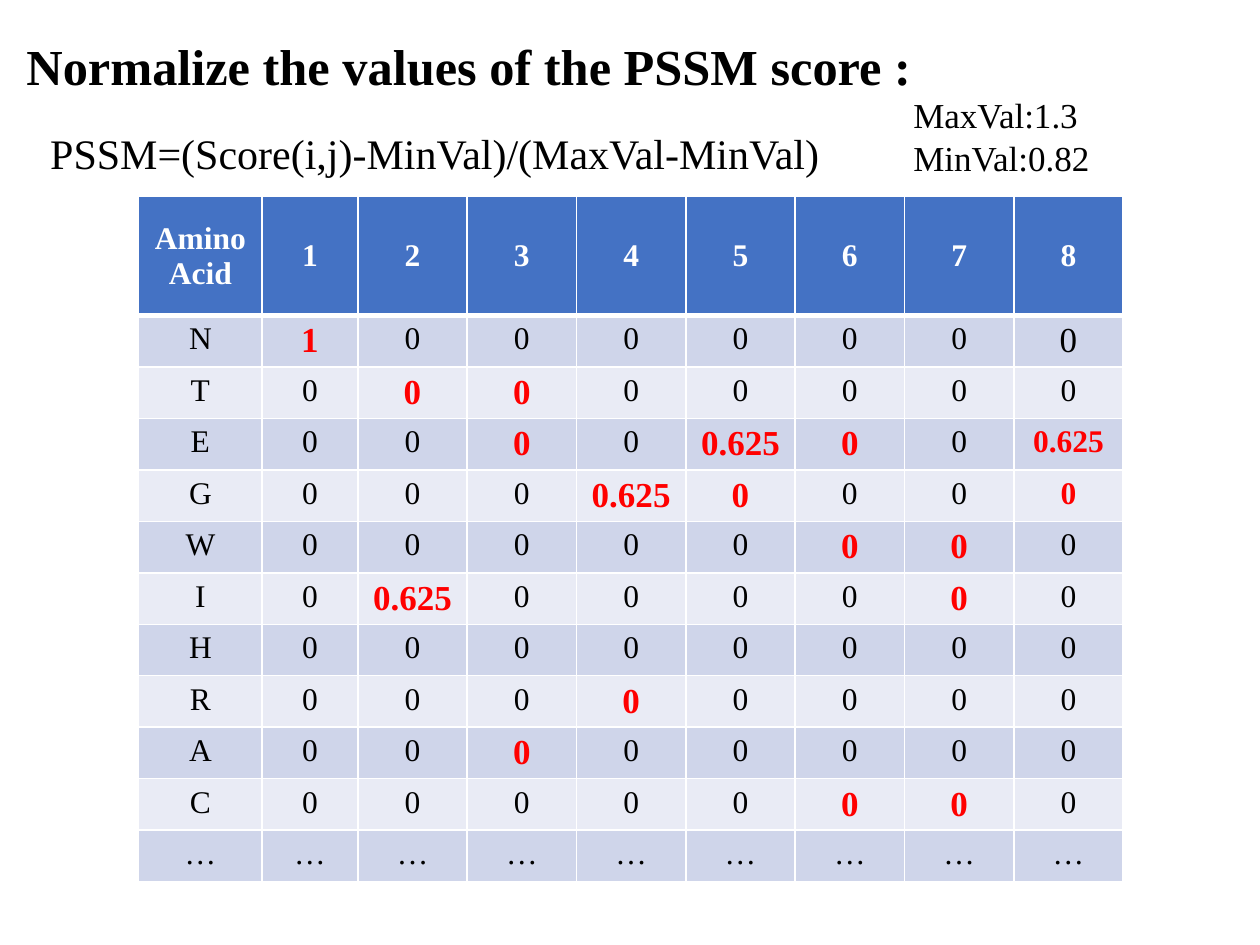
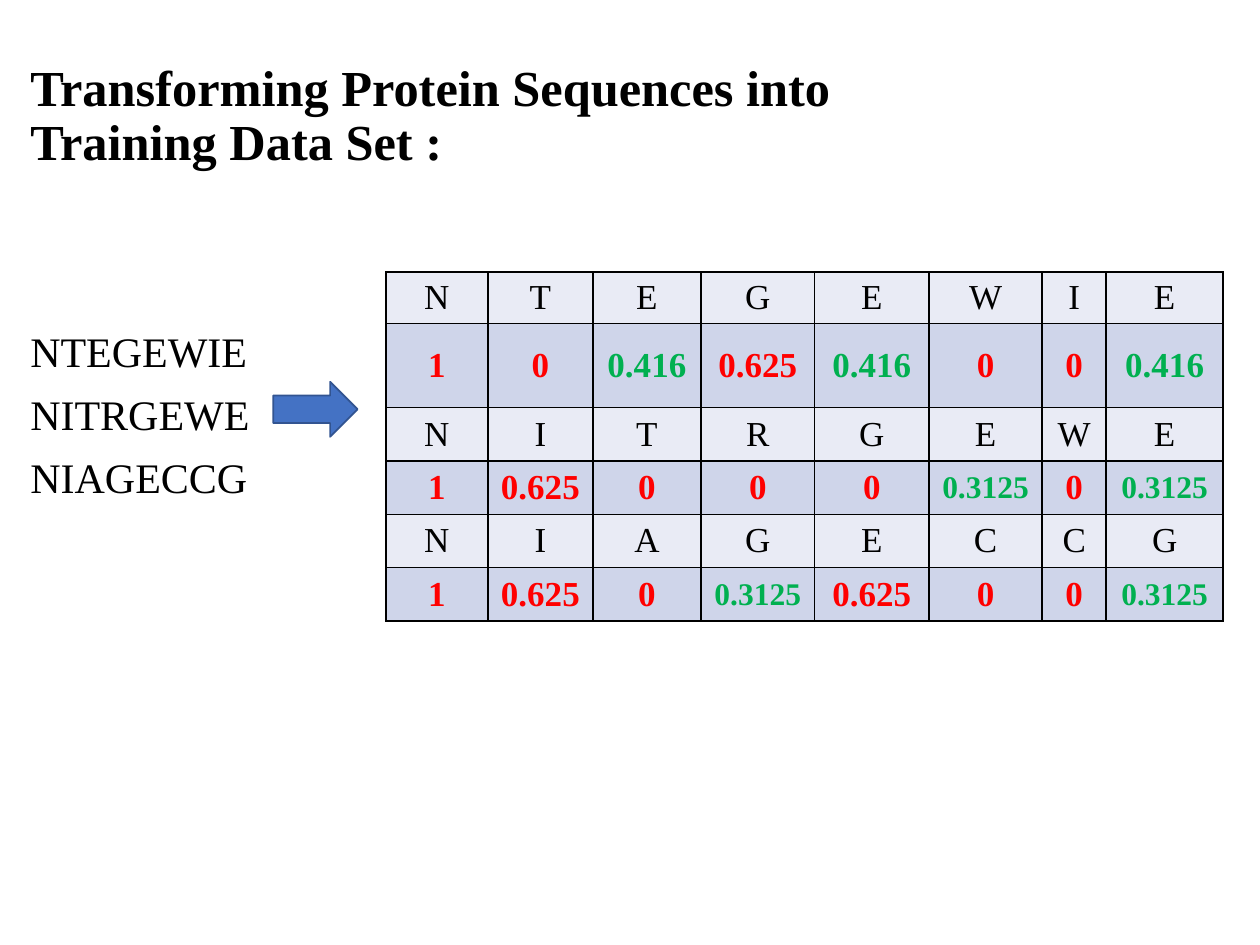
from lxml import etree
from pptx import Presentation
from pptx.dml.color import RGBColor
from pptx.enum.shapes import MSO_SHAPE
from pptx.enum.text import MSO_ANCHOR, MSO_AUTO_SIZE, PP_ALIGN
from pptx.oxml.ns import qn
from pptx.util import Pt

LEFT, CENTER = PP_ALIGN.LEFT, PP_ALIGN.CENTER
TOP, MIDDLE = MSO_ANCHOR.TOP, MSO_ANCHOR.MIDDLE
NO_AUTOFIT = MSO_AUTO_SIZE.NONE
RIGHT_ARROW = MSO_SHAPE.RIGHT_ARROW

FONT = "Times New Roman"
COLORS = {
    "black": "000000", "white": "FFFFFF", "red": "FF0000", "green": "00B050",
    "blue": "4472C4", "outline": "325491", "dark_band": "CFD5EA", "light_band": "E9EBF5",
}
STYLES = {
    "title": {"size": 28.8, "bold": True, "color": "black"},
    "formula": {"size": 24, "bold": False, "color": "black"},
    "large": {"size": 20, "bold": False, "color": "black"},
    "plain": {"size": 18, "bold": False, "color": "black"},
    "header": {"size": 18, "bold": True, "color": "white"},
    "score": {"size": 20, "bold": True, "color": "red"},
    "small_score": {"size": 18, "bold": True, "color": "red"},
    "average": {"size": 20, "bold": True, "color": "green"},
    "small_average": {"size": 18, "bold": True, "color": "green"},
}

NORMALIZE_TITLE = "Normalize the values of the PSSM score :"
TRANSFORM_TITLE = "Transforming Protein Sequences into Training Data Set :"
FORMULA_NOTES = [
    ("PSSM=(Score(i,j)-MinVal)/(MaxVal-MinVal)", "formula", (21.6, 69.1, 458, 36)),
    ("MaxVal:1.3", "large", (514.8, 49.7, 118, 31.5)),
    ("MinVal:0.82", "large", (514.8, 74.2, 118, 31.5)),
]
POSITIONS = range(1, 9)
AMINO_SCORES = {
    "N": {1: ("1", "score"), 8: ("0", "large")},
    "T": {2: ("0", "score"), 3: ("0", "score")},
    "E": {3: ("0", "score"), 5: ("0.625", "score"), 6: ("0", "score"),
          8: ("0.625", "small_score")},
    "G": {4: ("0.625", "score"), 5: ("0", "score"), 8: ("0", "small_score")},
    "W": {6: ("0", "score"), 7: ("0", "score")},
    "I": {2: ("0.625", "score"), 7: ("0", "score")},
    "H": {},
    "R": {4: ("0", "score")},
    "A": {3: ("0", "score")},
    "C": {6: ("0", "score"), 7: ("0", "score")},
}
TRAINING_SET = {
    "NTEGEWIE": ["1", "0", "0.416", "0.625", "0.416", "0", "0", "0.416"],
    "NITRGEWE": ["1", "0.625", "0", "0", "0", "0.3125", "0", "0.3125"],
    "NIAGECCG": ["1", "0.625", "0", "0.3125", "0.625", "0", "0", "0.3125"],
}
AVERAGES = {"0.416": "average", "0.3125": "small_average"}


def rgb(name):
    return RGBColor.from_string(COLORS[name])


def place(shape, box):
    for side, length in zip(("left", "top", "width", "height"), box):
        setattr(shape, side, Pt(length))


def write(paragraph, text, style, **layout):
    for name, value in layout.items():
        setattr(paragraph, name, value)
    run = paragraph.add_run()
    run.text = text
    formats = STYLES[style]
    for name, value in {"name": FONT, "size": Pt(formats["size"]), "bold": formats["bold"]}.items():
        setattr(run.font, name, value)
    run.font.color.rgb = rgb(formats["color"])


def prepare_frame(shape, anchor):
    frame = shape.text_frame
    for name, value in {"word_wrap": True, "auto_size": NO_AUTOFIT,
                        "vertical_anchor": anchor}.items():
        setattr(frame, name, value)
    return frame


def add_titled_slide(deck, layout, title, box):
    slide = deck.slides.add_slide(deck.slide_layouts[layout])
    place(slide.shapes.title, box)
    frame = prepare_frame(slide.shapes.title, MIDDLE)
    write(frame.paragraphs[0], title, "title", alignment=LEFT, line_spacing=0.9)
    return slide


def add_border(cell, edge, color, weight):
    line = etree.SubElement(cell._tc.get_or_add_tcPr(), qn(f"a:ln{edge}"), w=str(Pt(weight)))
    fill = etree.SubElement(line, qn("a:solidFill"))
    etree.SubElement(fill, qn("a:srgbClr"), val=COLORS[color])


def add_grid(slide, origin, widths, heights, rows, bands, border, anchors, rule_below_header=1):
    box = (*origin, sum(widths), sum(heights))
    table = slide.shapes.add_table(len(rows), len(widths), *map(Pt, box)).table
    table.horz_banding = False
    for column, width in zip(table.columns, widths):
        column.width = Pt(width)
    for r, (height, row, band, anchor) in enumerate(zip(heights, rows, bands, anchors)):
        table.rows[r].height = Pt(height)
        weights = {"L": 1, "R": 1, "T": rule_below_header if r == 1 else 1,
                   "B": rule_below_header if r == 0 else 1}
        for c, (text, style) in enumerate(row):
            cell = table.cell(r, c)
            for edge, weight in weights.items():
                add_border(cell, edge, border, weight)
            cell.fill.solid()
            cell.fill.fore_color.rgb = rgb(band)
            cell.vertical_anchor = anchor
            write(cell.text_frame.paragraphs[0], text, style, alignment=CENTER)


def build_normalize(deck):
    slide = add_titled_slide(deck, 5, NORMALIZE_TITLE, (7.9, 16.6, 529, 46))
    rows = [[(str(text), "header") for text in ("Amino Acid", *POSITIONS)]]
    for amino, scores in AMINO_SCORES.items():
        rows.append([(amino, "plain")] + [scores.get(p, ("0", "plain")) for p in POSITIONS])
    rows.append([("…", "plain")] * len(rows[0]))
    body = len(rows) - 1
    bands = ["blue"] + [("dark_band", "light_band")[i % 2] for i in range(body)]
    add_grid(slide, (79.2, 112.3), [70.6, 54.7] + [62.5] * 7, [67.9] + [29.4] * body,
             rows, bands, "white", [MIDDLE] + [TOP] * body, rule_below_header=3)
    for text, style, box in FORMULA_NOTES:
        note = slide.shapes.add_textbox(*map(Pt, box))
        write(prepare_frame(note, TOP).paragraphs[0], text, style)


def build_transform(deck):
    slide = add_titled_slide(deck, 1, TRANSFORM_TITLE, (10.1, 43.9, 559, 46))

    sequences = slide.placeholders[1]
    place(sequences, (10.1, 185.8, 142.6, 144))
    frame = prepare_frame(sequences, TOP)
    for i, sequence in enumerate(TRAINING_SET):
        paragraph = frame.add_paragraph() if i else frame.paragraphs[0]
        properties = paragraph._p.get_or_add_pPr()
        for name in ("marL", "indent"):
            properties.set(name, "0")
        etree.SubElement(properties, qn("a:buNone"))
        write(paragraph, sequence, "formula", line_spacing=0.9, space_before=Pt(10 if i else 0))

    arrow = slide.shapes.add_shape(RIGHT_ARROW, *map(Pt, (156.2, 218.2, 48.2, 31.4)))
    arrow.shadow.inherit = False
    arrow.fill.solid()
    arrow.fill.fore_color.rgb = rgb("blue")
    arrow.line.color.rgb = rgb("outline")
    arrow.line.width = Pt(1)

    rows = []
    for sequence, values in TRAINING_SET.items():
        rows.append([(letter, "large") for letter in sequence])
        rows.append([(value, AVERAGES.get(value, "score")) for value in values])
    add_grid(slide, (220.5, 155.5), [58.3, 60, 61.8, 64.9, 65.4, 64.7, 36.6, 66.8],
             [29.5, 48] + [30.5] * 4, rows, ["light_band", "dark_band"] * len(TRAINING_SET),
             "black", [MIDDLE] * len(rows))


def main():
    deck = Presentation()
    deck.slide_width, deck.slide_height = Pt(720), Pt(540)
    build_normalize(deck)
    build_transform(deck)
    deck.save("out.pptx")


if __name__ == "__main__":
    main()
